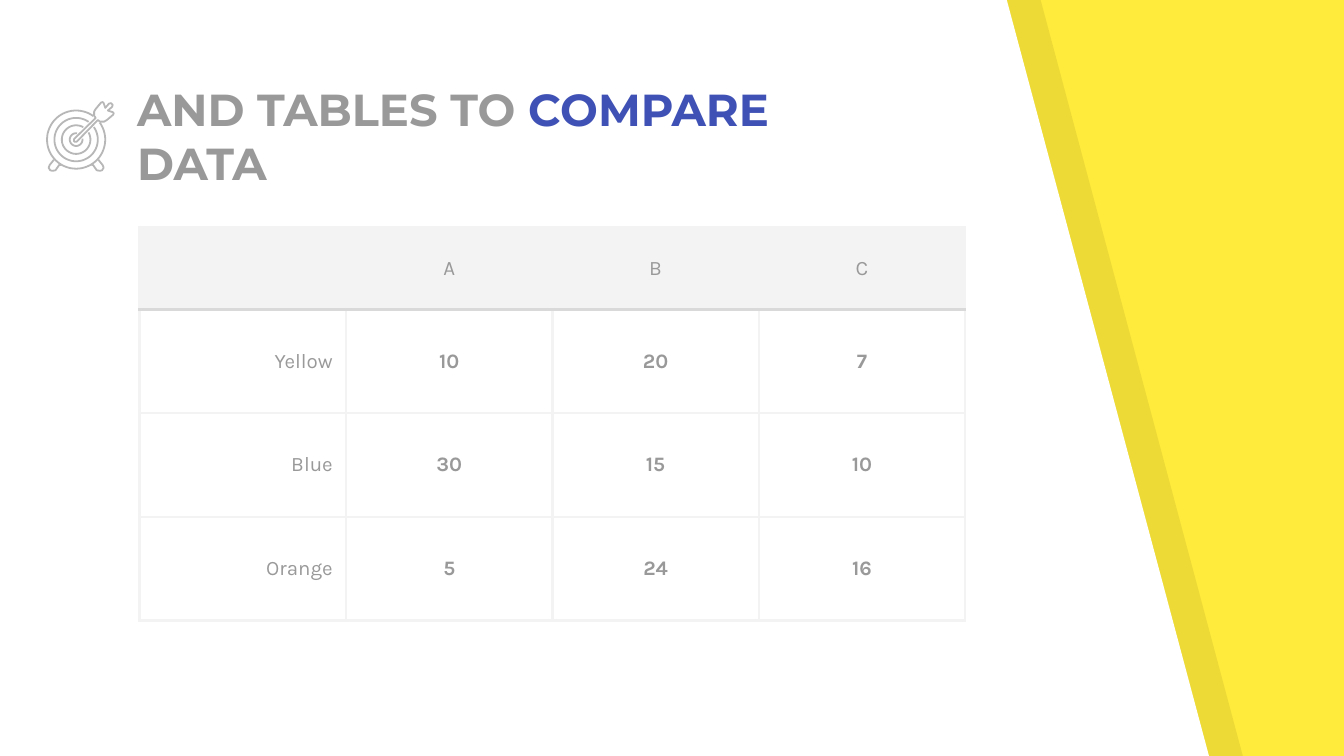
"""Build a slide that compares colours in a table beside a slanted yellow edge."""
from dataclasses import dataclass
from math import cos, radians, sin

from lxml.etree import SubElement
from pptx import Presentation
from pptx.dml.color import RGBColor
from pptx.enum.text import MSO_ANCHOR, MSO_AUTO_SIZE, PP_ALIGN
from pptx.oxml.ns import qn
from pptx.shapes.freeform import FreeformBuilder
from pptx.util import Cm, Pt

Point = tuple[float, float]


@dataclass(frozen=True)
class Theme:
    """Colours, fonts and type sizes of the slide."""
    yellow: str = "FFEB3B"
    white: str = "FFFFFF"
    shade: str = "000000"
    grey: str = "999999"
    accent: str = "3F51B5"
    grid: str = "F3F3F3"
    rule: str = "D9D9D9"
    icon: str = "B7B7B7"
    title_font: str = "Montserrat"
    body_font: str = "Karla"
    title_size: float = 24
    body_size: float = 11
    icon_line: float = 0.96
    grid_line: float = 1.5


@dataclass(frozen=True)
class Panel:
    """A slanted panel with its edges and colour."""
    left: float
    top_right: float
    bottom_right: float
    color: str
    opacity: int


@dataclass(frozen=True)
class Ring:
    """A target ring, open around the arrow."""
    radius: float
    half_gap: float


THEME = Theme()
PANELS = [
    Panel(0.64, 19.66, 23.5, THEME.shade, 7),
    Panel(0, 19.02, 22.86, THEME.white, 100),
]
RINGS = [Ring(0.55, 9), Ring(0.41, 10), Ring(0.27, 15), Ring(0.12, 37)]
CENTER = (1.44, 2.64)
FOOT = [(-0.42, 0.38), (-0.5, 0.48), (-0.52, 0.53), (-0.49, 0.58),
        (-0.45, 0.59), (-0.39, 0.58), (-0.32, 0.48), (-0.29, 0.48)]
HALF_ARROW = [(-0.04, 0.03), (-0.04, -0.01), (0.37, -0.41), (0.34, -0.45),
              (0.34, -0.53), (0.37, -0.58), (0.47, -0.7), (0.5, -0.71),
              (0.52, -0.69), (0.55, -0.6), (0.62, -0.68), (0.66, -0.69)]
ROWS = [
    ("", "A", "B", "C"),
    ("Yellow", "10", "20", "7"),
    ("Blue", "30", "15", "10"),
    ("Orange", "5", "24", "16"),
]


def add_span(para, text: str, *, font: str, size: float,
             color: str = THEME.grey, bold: bool = False) -> None:
    """Add formatted text to a paragraph."""
    span = para.add_run()
    span.text = text
    span.font.name = font
    span.font.size = Pt(size)
    span.font.bold = bold
    span.font.color.rgb = RGBColor.from_string(color)


def add_outline(shapes, points: list[Point], closed: bool = False):
    """Add a freeform through points given in centimetres."""
    start, *rest = [(Cm(x), Cm(y)) for x, y in points]
    builder: FreeformBuilder = shapes.build_freeform(*start)
    builder.add_line_segments(rest, close=closed)
    shape = builder.convert_to_shape()
    shape.shadow.inherit = False
    return shape


def add_panel(page, panel: Panel) -> None:
    """Draw one slanted panel down the whole slide."""
    top, bottom = -0.03, 14.33
    shape = add_outline(page.shapes, [
        (panel.left, top), (panel.left, bottom),
        (panel.bottom_right, bottom), (panel.top_right, top)], True)
    shape.fill.solid()
    shape.fill.fore_color.rgb = RGBColor.from_string(panel.color)
    shape.line.fill.background()
    if panel.opacity < 100:
        color = shape.element.spPr.find(f".//{qn('a:srgbClr')}")
        SubElement(color, qn("a:alpha"), val=str(panel.opacity * 1000))


def ring_points(ring: Ring) -> list[Point]:
    """Return points around a ring, starting and ending at its gap."""
    steps = 60
    sweep = 360 - 2 * ring.half_gap
    angles = [radians(ring.half_gap - 45 + sweep * step / steps)
              for step in range(steps + 1)]
    return [(ring.radius * cos(angle), ring.radius * sin(angle))
            for angle in angles]


def add_target(page) -> None:
    """Draw the target icon as one group of outlines."""
    group = page.shapes.add_group_shape()
    other_foot = [(-x, y) for x, y in FOOT]
    other_half = [(-y, -x) for x, y in reversed(HALF_ARROW)]
    outlines = [(ring_points(ring), False) for ring in RINGS]
    outlines += [(FOOT, False), (other_foot, False),
                 (HALF_ARROW + other_half, True)]
    for points, closed in outlines:
        placed = [(CENTER[0] + x, CENTER[1] + y) for x, y in points]
        shape = add_outline(group.shapes, placed, closed)
        shape.fill.background()
        shape.line.color.rgb = RGBColor.from_string(THEME.icon)
        shape.line.width = Pt(THEME.icon_line)


def add_title(page) -> None:
    """Fill the title placeholder and bring it in front of the panels."""
    title = page.shapes.title
    title.left, title.top = Cm(2.34), Cm(2.69)
    title.width, title.height = Cm(13.34), Cm(1.14)
    page.shapes.element.append(title.element)
    frame = title.text_frame
    frame.word_wrap = True
    frame.auto_size = MSO_AUTO_SIZE.NONE
    frame.vertical_anchor = MSO_ANCHOR.BOTTOM
    frame.margin_left = frame.margin_right = Cm(0.25)
    frame.margin_top = frame.margin_bottom = Cm(0.25)
    para = frame.paragraphs[0]
    para.alignment = PP_ALIGN.LEFT
    for text, color in [("AND TABLES TO ", THEME.grey),
                        ("COMPARE", THEME.accent), (" DATA", THEME.grey)]:
        add_span(para, text, font=THEME.title_font, size=THEME.title_size,
                 color=color, bold=True)


def set_borders(cell, top: str, bottom: str) -> None:
    """Give a cell its four border lines."""
    properties = cell._tc.get_or_add_tcPr()
    sides = {"L": THEME.grid, "R": THEME.grid, "T": top, "B": bottom}
    for side, color in sides.items():
        line = SubElement(properties, qn(f"a:ln{side}"),
                          w=str(Pt(THEME.grid_line)))
        fill = SubElement(line, qn("a:solidFill"))
        SubElement(fill, qn("a:srgbClr"), val=color)


def add_comparison(page) -> None:
    """Add the comparison table."""
    heights = [1.56] + [1.96] * (len(ROWS) - 1)
    column_width = 3.9
    count = len(ROWS[0])
    table = page.shapes.add_table(
        len(ROWS), count, Cm(2.64), Cm(4.29),
        Cm(column_width * count), Cm(sum(heights))).table
    table.first_row = table.horz_banding = False
    for column in table.columns:
        column.width = Cm(column_width)
    for row, (height, texts) in enumerate(zip(heights, ROWS)):
        table.rows[row].height = Cm(height)
        for column, text in enumerate(texts):
            cell = table.cell(row, column)
            set_borders(cell, THEME.rule if row == 1 else THEME.grid,
                        THEME.rule if row == 0 else THEME.grid)
            if row == 0:
                cell.fill.solid()
                cell.fill.fore_color.rgb = RGBColor.from_string(THEME.grid)
            else:
                cell.fill.background()
            cell.vertical_anchor = MSO_ANCHOR.MIDDLE
            cell.margin_left = cell.margin_right = Cm(0.25)
            cell.margin_top = cell.margin_bottom = Cm(0.18)
            para = cell.text_frame.paragraphs[0]
            para.alignment = PP_ALIGN.CENTER if column else PP_ALIGN.RIGHT
            if text:
                add_span(para, text, font=THEME.body_font,
                         size=THEME.body_size, bold=row > 0 and column > 0)


def main() -> None:
    """Build and save the deck."""
    deck = Presentation()
    deck.slide_width, deck.slide_height = Cm(25.4), Cm(14.29)
    page = deck.slides.add_slide(deck.slide_layouts[5])
    page.background.fill.solid()
    page.background.fill.fore_color.rgb = RGBColor.from_string(THEME.yellow)
    for panel in PANELS:
        add_panel(page, panel)
    add_title(page)
    add_comparison(page)
    add_target(page)
    deck.save("out.pptx")


if __name__ == "__main__":
    main()
